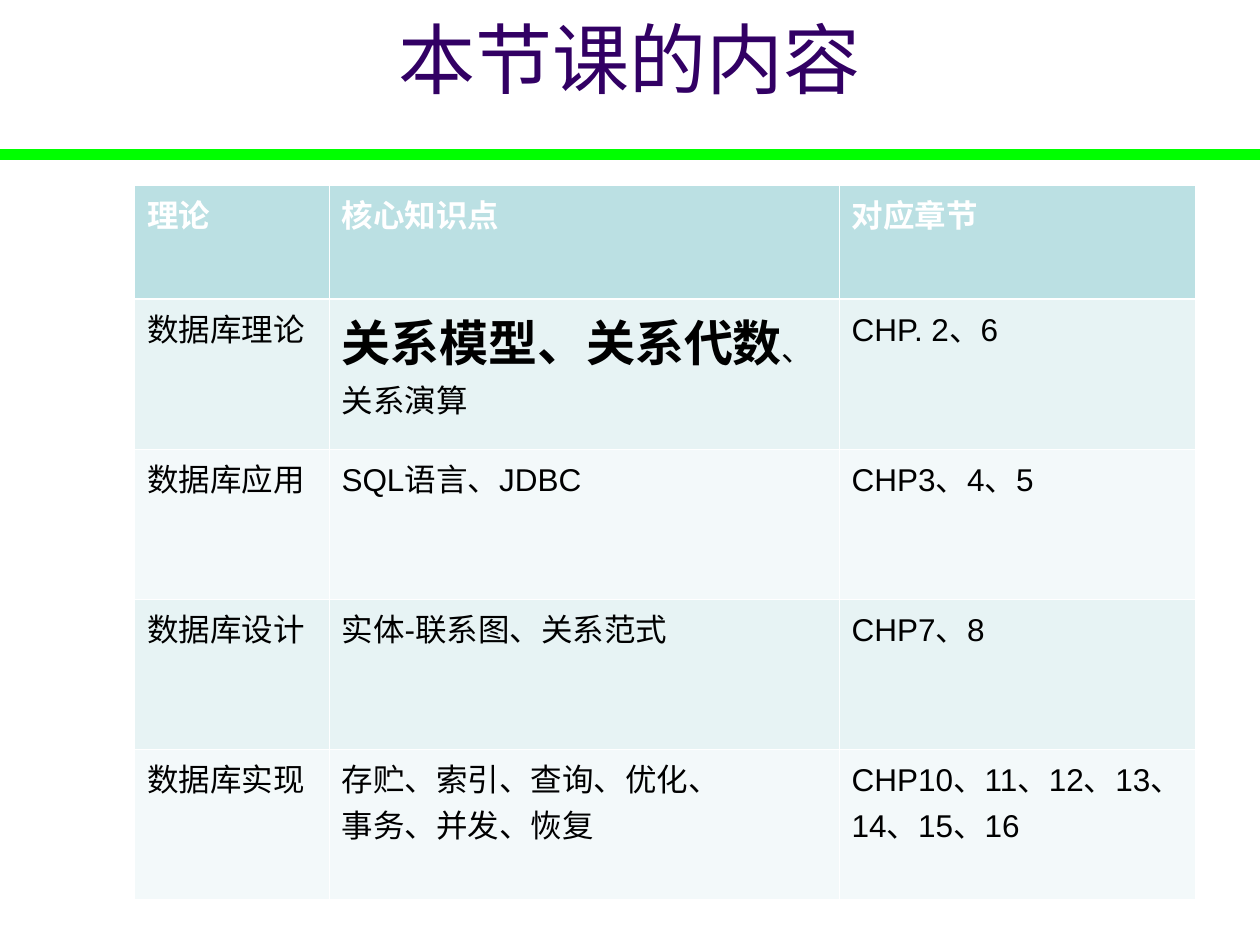
from lxml import etree
from pptx import Presentation
from pptx.dml.color import RGBColor
from pptx.enum.shapes import MSO_CONNECTOR
from pptx.enum.text import MSO_ANCHOR, PP_ALIGN
from pptx.oxml.ns import qn
from pptx.util import Pt

STRAIGHT = MSO_CONNECTOR.STRAIGHT
MIDDLE = MSO_ANCHOR.MIDDLE
CENTER = PP_ALIGN.CENTER
COLORS = {
    "title": "320064", "rule": "00FF00", "border": "FFFFFF",
    "header": "BBE0E3", "odd": "E7F3F4", "even": "F3F9FA",
    "header_text": "FFFFFF", "text": "000000",
}
FONT = "Arial"
THIN, THICK = 0.45, 1.47


def format_font(font, size, color, bold=False):
    for attribute, value in {"name": FONT, "size": Pt(size), "bold": bold}.items():
        setattr(font, attribute, value)
    font.color.rgb = RGBColor.from_string(COLORS[color])


def add_border(cell, side, width):
    """Draw one side (L, R, T or B) of a cell; call before filling the cell."""
    line = etree.SubElement(cell._tc.get_or_add_tcPr(), qn(f"a:ln{side}"), w=str(Pt(width)))
    fill = etree.SubElement(line, qn("a:solidFill"))
    etree.SubElement(fill, qn("a:srgbClr"), val=COLORS["border"])


prs = Presentation()
prs.slide_width, prs.slide_height = Pt(720), Pt(540)
slide = prs.slides.add_slide(prs.slide_layouts[5])

# Green rule under the title
rule = slide.shapes.add_connector(STRAIGHT, Pt(0), Pt(88.5), Pt(720), Pt(88.5))
rule.line.color.rgb = RGBColor.from_string(COLORS["rule"])
rule.line.width = Pt(6.25)
etree.SubElement(rule._element.spPr, qn("a:effectLst"))

# Title
title = slide.shapes.title
title_box = {"left": 49.5, "top": 0, "width": 621, "height": 66}
for attribute, value in title_box.items():
    setattr(title, attribute, Pt(value))
title.text_frame.vertical_anchor = MIDDLE
heading = title.text_frame.paragraphs[0]
heading.alignment = CENTER
heading_run = heading.add_run()
heading_run.text = "本节课的内容"
format_font(heading_run.font, 44, "title")

# Course contents: each cell is a list of paragraphs
KEY_TOPICS = "关系模型、关系代数"
contents = [
    [["理论"], ["核心知识点"], ["对应章节"]],
    [["数据库理论"], [KEY_TOPICS + "、关系演算"], ["CHP. 2、6"]],
    [["数据库应用"], ["SQL语言、JDBC"], ["CHP3、4、5"]],
    [["数据库设计"], ["实体-联系图、关系范式"], ["CHP7、8"]],
    [["数据库实现"], ["存贮、索引、查询、优化、", "事务、并发、恢复"],
     ["CHP10、11、12、13、", "14、15、16"]],
]
column_widths = [111, 291.5, 203.5]
row_heights = [65] + [85.75] * 4

table = slide.shapes.add_table(
    len(row_heights), len(column_widths), Pt(77), Pt(105.75),
    Pt(sum(column_widths)), Pt(sum(row_heights))).table
for column, width in zip(table.columns, column_widths):
    column.width = Pt(width)

for r, (row, height) in enumerate(zip(contents, row_heights)):
    table.rows[r].height = Pt(height)
    is_header = r == 0
    band = "header" if is_header else "odd" if r % 2 else "even"
    text_color = "header_text" if is_header else "text"
    borders = {"L": THIN, "R": THIN, "T": THICK if r == 1 else THIN,
               "B": THICK if is_header else THIN}
    for c, lines in enumerate(row):
        cell = table.cell(r, c)
        for side, width in borders.items():
            add_border(cell, side, width)
        cell.fill.solid()
        cell.fill.fore_color.rgb = RGBColor.from_string(COLORS[band])
        cell.text = "\n".join(lines)
        for paragraph in cell.text_frame.paragraphs:
            for run in paragraph.runs:
                format_font(run.font, 18, text_color, is_header)

# Stress the topics of this lesson
topics = table.cell(1, 1).text_frame.paragraphs[0]
key_run = topics.runs[0]
rest_run = topics.add_run()
rest_run.text = key_run.text.removeprefix(KEY_TOPICS)
key_run.text = KEY_TOPICS
format_font(key_run.font, 28, "text", True)
format_font(rest_run.font, 18, "text")

prs.save("out.pptx")
